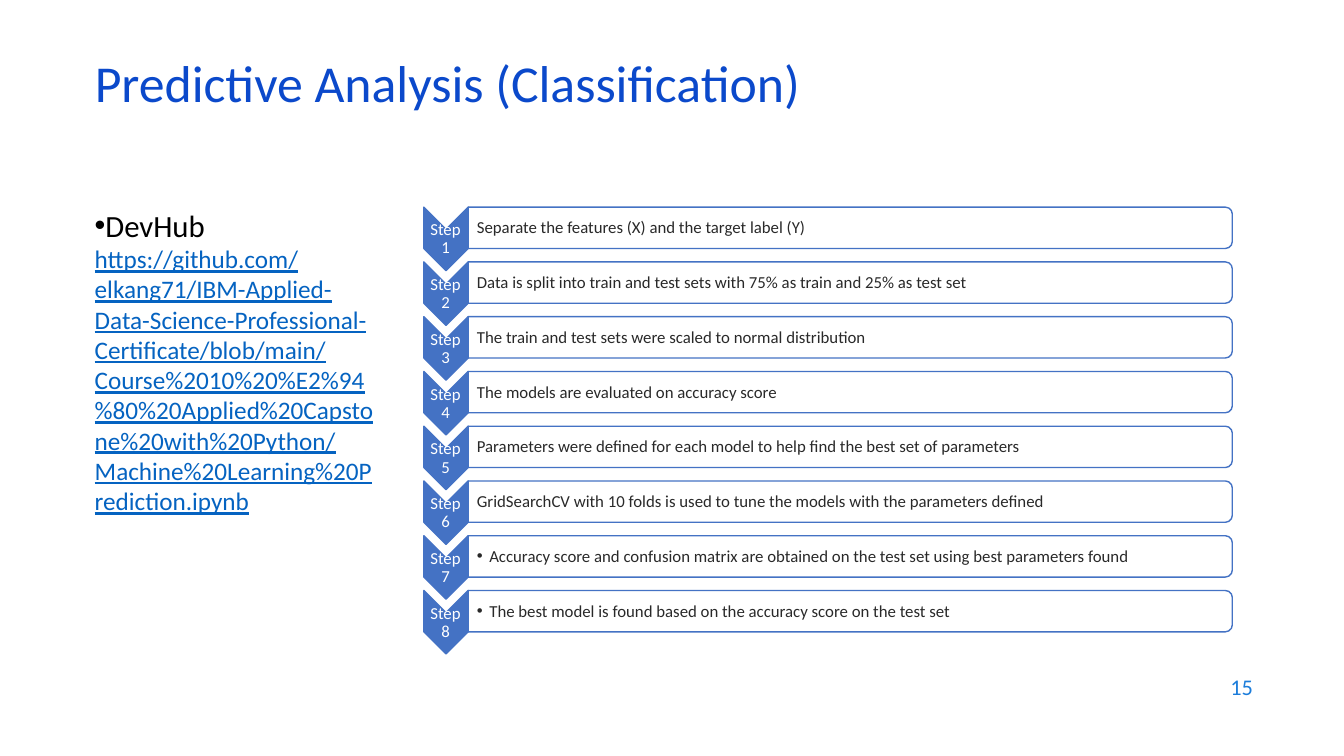
from dataclasses import dataclass
from typing import Optional

from lxml.etree import SubElement
from pptx import Presentation
from pptx.dml.color import RGBColor
from pptx.enum.shapes import MSO_SHAPE
from pptx.enum.text import MSO_ANCHOR, PP_ALIGN
from pptx.oxml.ns import qn
from pptx.util import Emu, Inches, Pt

SLIDE_W, SLIDE_H = Inches(13.333), Inches(7.5)
COLUMNS, ROWS = 160, 90
FONT = "Calibri"
COLORS = {
    "title": "0B49CB",
    "number": "1C7DDB",
    "body": "000000",
    "link": "0563C1",
    "accent": "4472C4",
    "paper": "FFFFFF",
    "step": "292929",
}


def col(count: float) -> Emu:
    return Emu(round(SLIDE_W * count / COLUMNS))


def row(count: float) -> Emu:
    return Emu(round(SLIDE_H * count / ROWS))


@dataclass(frozen=True)
class Box:
    left: float
    top: float
    width: float
    height: float

    def down(self, rows: float) -> "Box":
        return Box(self.left, self.top + rows, self.width, self.height)


@dataclass(frozen=True)
class TextStyle:
    size: float
    color: str
    align: PP_ALIGN = PP_ALIGN.LEFT
    anchor: MSO_ANCHOR = MSO_ANCHOR.MIDDLE
    spacing: float = 1.0
    margins: tuple = (1.2, 0.6, 1.2, 0.6)


@dataclass(frozen=True)
class Step:
    text: str
    bulleted: bool = False


NUMBER_BOX = Box(114.36, 79.08, 36, 5.28)
LINK_BOX = Box(10.08, 24, 36, 57.12)
TITLE_BOX = Box(10.08, 7.08, 138, 7.2)
CHEVRON_BOX = Box(50.46, 24.66, 5.28, 7.56)
LABEL_BOX = Box(50.4, 27.36, 5.28, 2.28)
BAR_BOX = Box(55.74, 24.66, 90.96, 4.92)
BAR_TEXT_BOX = Box(55.68, 24.96, 90.72, 4.44)
STEP_PITCH = 6.52
BULLET_INDENT = 1.48

TITLE = TextStyle(37, "title", spacing=0.7)
NUMBER = TextStyle(16, "number", align=PP_ALIGN.RIGHT)
LINK = TextStyle(22, "body", anchor=MSO_ANCHOR.TOP)
LABEL = TextStyle(12, "paper", align=PP_ALIGN.CENTER, spacing=0.9,
                  margins=(0.6, 0.1, 0.6, 0.1))
STEP = TextStyle(12, "step", spacing=0.9, margins=(1.1, 0.1, 0.1, 0.1))

REPOSITORY = (
    "https://github.com/elkang71/IBM-Applied-Data-Science-Professional-Certificate"
    "/blob/main/Course%2010%20%E2%94%80%20Applied%20Capstone%20with%20Python"
    "/Machine%20Learning%20Prediction.ipynb"
)
STEPS = [
    Step("Separate the features (X) and the target label (Y)"),
    Step("Data is split into train and test sets with 75% as train and 25% as test set"),
    Step("The train and test sets were scaled to normal distribution"),
    Step("The models are evaluated on accuracy score"),
    Step("Parameters were defined for each model to help find the best set of parameters"),
    Step("GridSearchCV with 10 folds is used to tune the models with the parameters defined"),
    Step("Accuracy score and confusion matrix are obtained on the test set "
         "using best parameters found", bulleted=True),
    Step("The best model is found based on the accuracy score on the test set", bulleted=True),
]


def rgb(name: str) -> RGBColor:
    return RGBColor.from_string(COLORS[name])


def add_text(slide, box: Box, text: str, style: TextStyle, bullet_indent: Optional[float] = None):
    frame = slide.shapes.add_textbox(
        col(box.left), row(box.top), col(box.width), row(box.height)).text_frame
    frame.word_wrap = True
    frame.vertical_anchor = style.anchor
    left, top, right, bottom = style.margins
    frame.margin_left, frame.margin_right = col(left), col(right)
    frame.margin_top, frame.margin_bottom = row(top), row(bottom)
    frame.text = text
    paragraph = frame.paragraphs[0]
    paragraph.alignment = style.align
    paragraph.line_spacing = style.spacing
    if bullet_indent is not None:
        properties = paragraph._p.get_or_add_pPr()
        properties.set("marL", str(col(bullet_indent)))
        properties.set("indent", str(-col(bullet_indent)))
        SubElement(properties, qn("a:buFont"), typeface="Arial")
        SubElement(properties, qn("a:buChar"), char="•")
    for run in paragraph.runs:
        run.font.name = FONT
        run.font.size = Pt(style.size)
        run.font.color.rgb = rgb(style.color)
    return paragraph


def add_turned_shape(slide, kind: MSO_SHAPE, box: Box, fill: str, opacity: int = 100) -> None:
    width, height = row(box.height), col(box.width)
    left = col(box.left + box.width / 2) - width // 2
    top = row(box.top + box.height / 2) - height // 2
    shape = slide.shapes.add_shape(kind, left, top, width, height)
    shape.rotation = 90
    shape.shadow.inherit = False
    shape.fill.solid()
    shape.fill.fore_color.rgb = rgb(fill)
    shape.line.color.rgb = rgb("accent")
    shape.line.width = Pt(1)
    if opacity < 100:
        color = shape._element.spPr.find(qn("a:solidFill")).find(qn("a:srgbClr"))
        SubElement(color, qn("a:alpha"), val=str(opacity * 1000))


def add_step(slide, index: int, step: Step) -> None:
    drop = index * STEP_PITCH
    add_turned_shape(slide, MSO_SHAPE.CHEVRON, CHEVRON_BOX.down(drop), "accent")
    add_text(slide, LABEL_BOX.down(drop), f"Step {index + 1}", LABEL)
    add_turned_shape(slide, MSO_SHAPE.ROUND_2_SAME_RECTANGLE, BAR_BOX.down(drop), "paper", 90)
    add_text(slide, BAR_TEXT_BOX.down(drop), step.text, STEP,
             BULLET_INDENT if step.bulleted else None)


def main() -> None:
    presentation = Presentation()
    presentation.slide_width, presentation.slide_height = SLIDE_W, SLIDE_H
    slide = presentation.slides.add_slide(presentation.slide_layouts[6])

    add_text(slide, NUMBER_BOX, "15", NUMBER)
    repository = add_text(slide, LINK_BOX, f"DevHub\v{REPOSITORY}", LINK, bullet_indent=0)
    address = repository.runs[1].font
    address.size = Pt(18)
    address.color.rgb = rgb("link")
    address.underline = True
    add_text(slide, TITLE_BOX, "Predictive Analysis (Classification)", TITLE)
    for index, step in enumerate(STEPS):
        add_step(slide, index, step)

    presentation.save("out.pptx")


if __name__ == "__main__":
    main()
